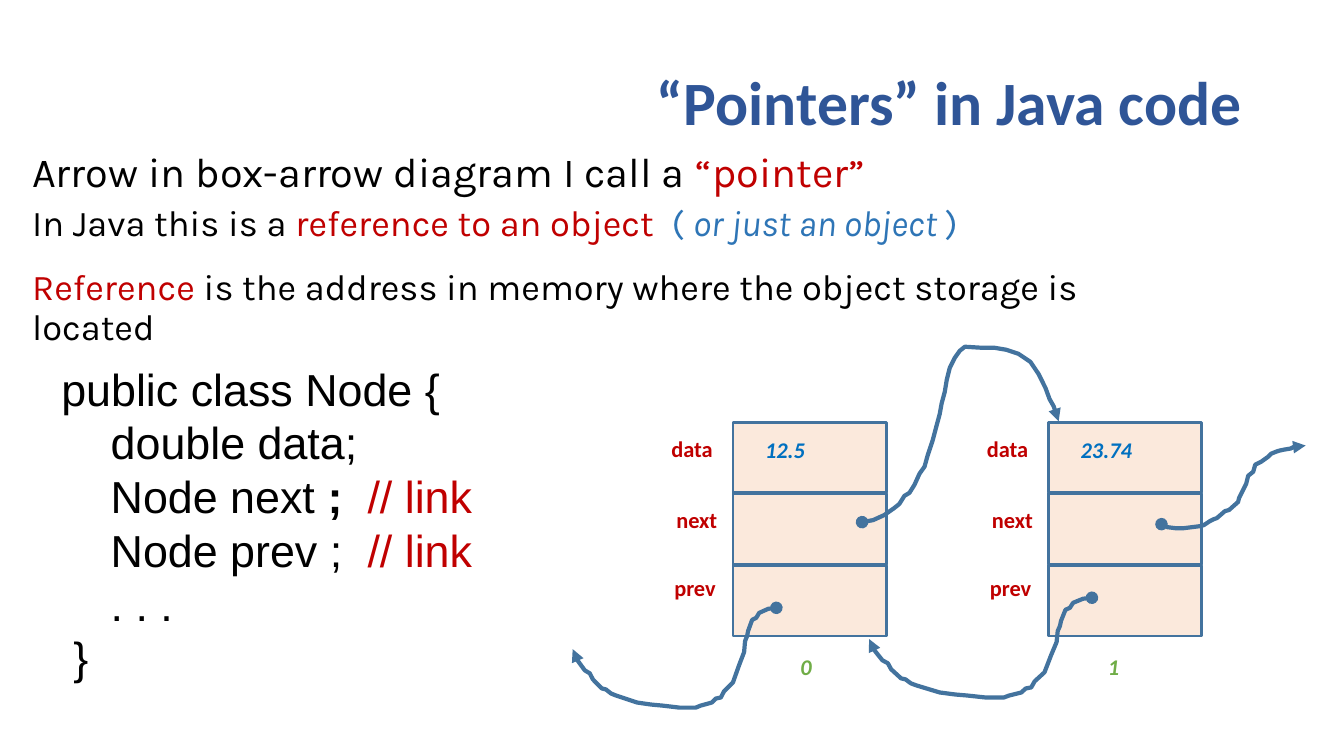
import pptx
import pptx.util
import pptx.dml.color
import pptx.enum.shapes
import pptx.enum.text
import pptx.oxml
import pptx.oxml.ns
from pptx.util import Inches

COLORS = {
    "title": "2F5597", "black": "000000", "red": "C00000", "blue": "2E75B6",
    "value": "0070C0", "index": "70AD47", "cell": "F4B183", "line": "43739E",
}

# Runs are (text, color, style); style holds "b" and/or "i"
TITLE = [("“Pointers” in Java code", "title", "b")]

# Paragraphs are (size, space before, runs)
BODY = [
    (29.6, 6, [("Arrow in box-arrow diagram I call a ", "black", ""),
               ("“pointer”", "red", "")]),
    (25.9, 6, [("In Java this is a ", "black", ""),
               ("reference to an object  ", "red", ""),
               ("( ", "blue", ""), ("or just an object ", "blue", "i"),
               (")", "blue", "")]),
    (25.9, 18, [("Reference ", "red", ""),
                ("is the address in memory where the object storage is located",
                 "black", "")]),
]

# Code lines are (indent in inches, runs)
CODE = [
    (0, [("public class Node {", "black", "")]),
    (0.49, [("double data;", "black", "")]),
    (0.49, [("Node next ", "black", ""), (";  ", "black", "b"),
            ("// link", "red", "")]),
    (0.49, [("Node prev ;  ", "black", ""), ("// link", "red", "")]),
    (0.49, [(". . .", "black", "")]),
    (0.12, [("}", "black", "")]),
]

# Nodes are (left, value, index, index left)
NODES = [(7.27, "12.5", "0", 7.84), (10.4, "23.74", "1", 10.89)]
NODE_TOP, CELL_W, CELL_H, CELL_PITCH = 4.19, 1.52, 0.7, 0.71
# Field labels are (name, offset from node left, top)
FIELDS = [("data", -0.71, 4.27), ("next", -0.66, 4.97), ("prev", -0.68, 5.65)]

# Arrow outlines, from the dot to the arrowhead
PREV_ARROW = [
    (7.7, 6.03), (7.62, 6.04), (7.53, 6.08), (7.5, 6.13), (7.46, 6.15),
    (7.42, 6.26), (7.41, 6.31), (7.39, 6.36), (7.38, 6.47), (7.33, 6.6),
    (7.27, 6.77), (7.23, 6.81), (7.18, 6.86), (7.15, 6.92), (7.1, 6.93),
    (7.06, 6.97), (6.95, 7), (6.9, 7.02), (6.74, 7.02), (6.57, 7),
    (6.46, 6.99), (6.32, 6.97), (6.2, 6.93), (6.11, 6.9), (6.06, 6.88),
    (6.01, 6.84), (5.97, 6.83), (5.88, 6.74), (5.85, 6.68), (5.8, 6.65),
    (5.72, 6.54), (5.69, 6.49), (5.68, 6.44),
]
NEXT_ARROWS = [
    [(8.55, 5.18), (8.66, 5.16), (8.77, 5.11), (8.87, 5.04), (8.92, 5),
     (8.97, 4.92), (9.02, 4.89), (9.07, 4.81), (9.12, 4.7), (9.17, 4.63),
     (9.2, 4.52), (9.25, 4.37), (9.29, 4.22), (9.32, 4.11), (9.34, 4),
     (9.37, 3.89), (9.39, 3.77), (9.42, 3.65), (9.47, 3.55), (9.52, 3.48),
     (9.57, 3.44), (9.73, 3.45), (9.86, 3.45), (9.98, 3.47), (10.1, 3.51),
     (10.22, 3.59), (10.3, 3.71), (10.37, 3.85), (10.41, 3.96),
     (10.45, 4.03), (10.5, 4.18)],
    [(11.52, 5.2), (11.58, 5.23), (11.66, 5.24), (11.74, 5.24), (11.9, 5.22),
     (11.94, 5.21), (12, 5.17), (12.04, 5.15), (12.07, 5.14), (12.15, 5.07),
     (12.19, 5.06), (12.28, 4.98), (12.29, 4.94), (12.36, 4.8),
     (12.38, 4.72), (12.43, 4.68), (12.45, 4.61), (12.51, 4.58),
     (12.58, 4.53), (12.61, 4.5), (12.66, 4.48), (12.69, 4.47),
     (12.74, 4.46), (12.8, 4.45), (12.86, 4.42), (12.95, 4.42)],
]
# The second prev arrow is the first one moved and widened
PREV_LEFT, PREV_SHIFTED_LEFT, PREV_STRETCH, PREV_RISE = 5.68, 8.62, 1.094, 0.1


def rgb(name):
    return pptx.dml.color.RGBColor.from_string(COLORS[name])


def add_xml(parent, tag, **attrs):
    el = pptx.oxml.parse_xml(f"<a:{tag} {pptx.oxml.ns.nsdecls('a')}/>")
    for key, value in attrs.items():
        el.set(key, value)
    parent.append(el)


def add_text_box(slide, left, top, width, height, anchor="TOP"):
    sp = slide.shapes.add_textbox(*map(Inches, (left, top, width, height)))
    tf = sp.text_frame
    tf.word_wrap = True
    tf.vertical_anchor = getattr(pptx.enum.text.MSO_ANCHOR, anchor)
    return tf


def add_runs(p, runs, font, size):
    for text, color, style in runs:
        r = p.add_run()
        r.text = text
        r.font.name = font
        r.font.size = pptx.util.Pt(size)
        r.font.bold = "b" in style
        r.font.italic = "i" in style
        r.font.color.rgb = rgb(color)


def next_paragraph(tf, number):
    return tf.add_paragraph() if number else tf.paragraphs[0]


def add_label(slide, left, top, width, height, text, color, style):
    tf = add_text_box(slide, left, top, width, height)
    add_runs(tf.paragraphs[0], [(text, color, style)], "Calibri", 16)


def add_cell(slide, left, top):
    sp = slide.shapes.add_shape(pptx.enum.shapes.MSO_SHAPE.RECTANGLE,
                                *map(Inches, (left, top, CELL_W, CELL_H)))
    sp.shadow.inherit = False
    sp.fill.solid()
    sp.fill.fore_color.rgb = rgb("cell")
    fill = sp.fill._xPr.find(pptx.oxml.ns.qn("a:solidFill"))
    add_xml(fill[0], "alpha", val="28000")
    sp.line.color.rgb = rgb("line")
    sp.line.width = pptx.util.Pt(2)


def add_arrow(slide, points):
    pts = [(Inches(x), Inches(y)) for x, y in points]
    builder = slide.shapes.build_freeform(*pts[0])
    builder.add_line_segments(pts[1:], close=False)
    sp = builder.convert_to_shape()
    sp.shadow.inherit = False
    sp.fill.background()
    sp.line.color.rgb = rgb("line")
    sp.line.width = pptx.util.Pt(3)
    ln = sp.line._get_or_add_ln()
    add_xml(ln, "round")
    add_xml(ln, "headEnd", type="oval")
    add_xml(ln, "tailEnd", type="triangle")


def main():
    prs = pptx.Presentation()
    prs.slide_width, prs.slide_height = Inches(13.33), Inches(7.5)
    slide = prs.slides.add_slide(prs.slide_layouts[6])

    # Title
    p = add_text_box(slide, 0.92, 0.4, 11.5, 1.3, "MIDDLE").paragraphs[0]
    p.alignment = pptx.enum.text.PP_ALIGN.RIGHT
    p.line_spacing = 0.9
    add_runs(p, TITLE, "Calibri", 44)

    # Explanation
    tf = add_text_box(slide, 0.22, 1.46, 11.79, 1.83)
    for i, (size, space, runs) in enumerate(BODY):
        p = next_paragraph(tf, i)
        p.line_spacing = 0.9
        p.space_before = pptx.util.Pt(space)
        add_runs(p, runs, "Karla", size)

    # Nodes with their labels
    for left, value, index, index_left in NODES:
        for row in range(len(FIELDS)):
            add_cell(slide, left, NODE_TOP + row * CELL_PITCH)
        add_label(slide, left + 0.22, 4.28, 0.87, 0.51, value, "value", "bi")
        for name, offset, top in FIELDS:
            add_label(slide, left + offset, top, 0.74, 0.51, name, "red", "b")
        add_label(slide, index_left, 6.43, 0.54, 0.55, index, "index", "bi")

    # Links
    shifted = [(PREV_SHIFTED_LEFT + (x - PREV_LEFT) * PREV_STRETCH, y - PREV_RISE)
               for x, y in PREV_ARROW]
    for points in [PREV_ARROW, shifted, *NEXT_ARROWS]:
        add_arrow(slide, points)

    # Class listing
    tf = add_text_box(slide, 0.51, 3.52, 4.96, 3.33, "MIDDLE")
    for i, (indent, runs) in enumerate(CODE):
        p = next_paragraph(tf, i)
        p._p.get_or_add_pPr().set("marL", str(Inches(indent)))
        add_runs(p, runs, "Arial", 32)

    prs.save("out.pptx")


if __name__ == "__main__":
    main()
